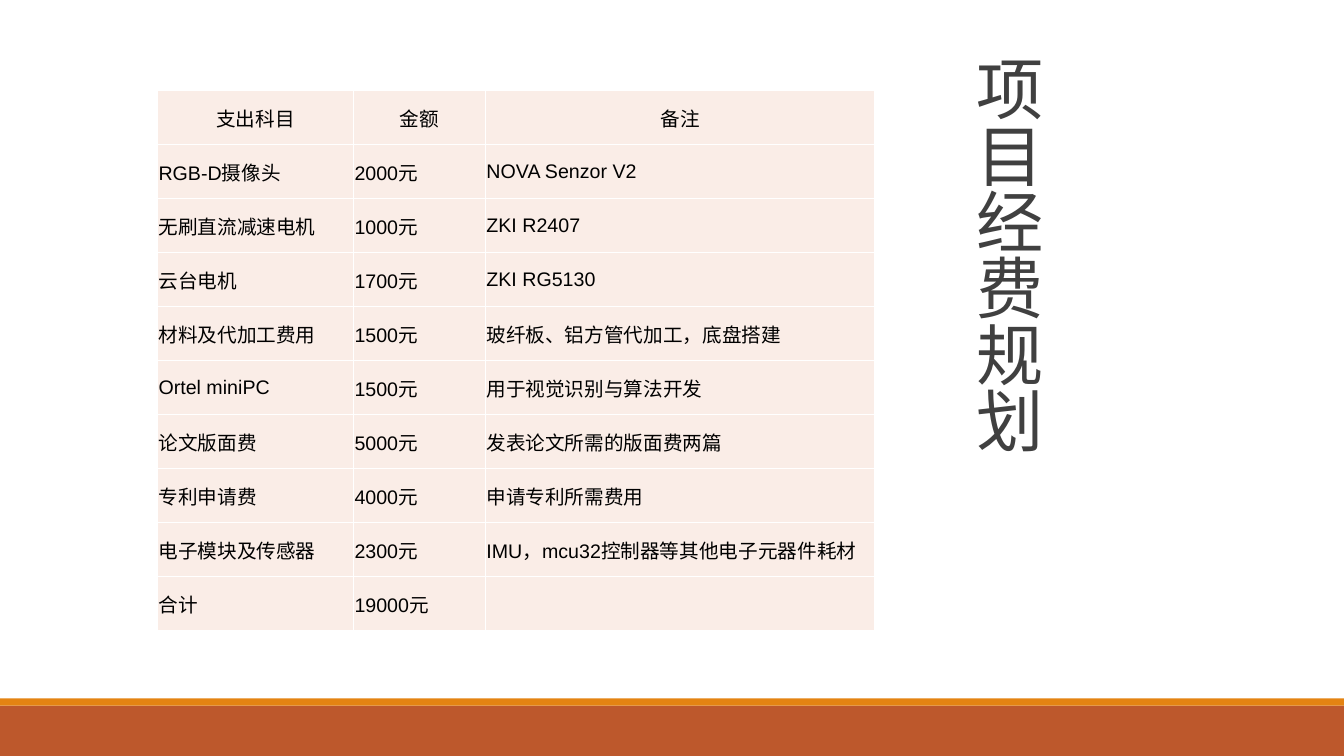
from lxml import etree
from pptx import Presentation, util as u
from pptx.dml.color import RGBColor
from pptx.enum import shapes, text
from pptx.oxml import ns

Pt = u.Pt
WIDTH, HEIGHT = 960, 540

BUDGET = [
    ("支出科目", "金额", "备注"),
    ("RGB-D摄像头", "2000元", "NOVA Senzor V2"),
    ("无刷直流减速电机", "1000元", "ZKI R2407"),
    ("云台电机", "1700元", "ZKI RG5130"),
    ("材料及代加工费用", "1500元", "玻纤板、铝方管代加工，底盘搭建"),
    ("Ortel miniPC", "1500元", "用于视觉识别与算法开发"),
    ("论文版面费", "5000元", "发表论文所需的版面费两篇"),
    ("专利申请费", "4000元", "申请专利所需费用"),
    ("电子模块及传感器", "2300元", "IMU，mcu32控制器等其他电子元器件耗材"),
    ("合计", "19000元", ""),
]


def color(value):
    return RGBColor.from_string(value)


class SlideBuilder:
    """Holds the style and the current slide."""

    font = "Arial"
    ink, title_ink = "000000", "404040"
    cell_fill, grid = "FAEDE7", "FFFFFF"

    def __init__(self, slide):
        self.slide = slide

    def add_run(self, paragraph, content, size, ink):
        run = paragraph.add_run()
        run.text = content
        run.font.name = self.font
        run.font.size = Pt(size)
        run.font.color.rgb = color(ink)
        return run

    def band(self, top, height, fill):
        shape = self.slide.shapes.add_shape(
            shapes.MSO_SHAPE.RECTANGLE, 0, Pt(top), Pt(WIDTH), Pt(height))
        shape.shadow.inherit = False
        shape.fill.solid()
        shape.fill.fore_color.rgb = color(fill)
        shape.line.fill.background()

    def vertical_title(self, content, left, top, width, height):
        shape = self.slide.shapes.add_textbox(
            Pt(left), Pt(top), Pt(width), Pt(height))
        frame = shape.text_frame
        frame.word_wrap = True
        frame.vertical_anchor = text.MSO_ANCHOR.BOTTOM
        # East Asian vertical text
        frame._txBody.bodyPr.set("vert", "eaVert")
        paragraph = frame.paragraphs[0]
        paragraph.alignment = text.PP_ALIGN.LEFT
        paragraph.line_spacing = 0.85
        run = self.add_run(paragraph, content, 48, self.title_ink)
        run.font._element.set("spc", "-50")

    def borders(self, cell):
        properties = cell._tc.get_or_add_tcPr()
        for position, side in enumerate(("lnL", "lnR", "lnT", "lnB")):
            line = etree.Element(ns.qn("a:" + side), w=str(Pt(1)))
            fill = etree.SubElement(line, ns.qn("a:solidFill"))
            etree.SubElement(fill, ns.qn("a:srgbClr"), val=self.grid)
            properties.insert(position, line)

    def cell(self, cell, content, alignment):
        cell.fill.solid()
        cell.fill.fore_color.rgb = color(self.cell_fill)
        cell.vertical_anchor = text.MSO_ANCHOR.MIDDLE
        cell.margin_left = cell.margin_right = cell.margin_top = Pt(0.75)
        cell.margin_bottom = 0
        self.borders(cell)
        if content:
            paragraph = cell.text_frame.paragraphs[0]
            paragraph.alignment = alignment
            self.add_run(paragraph, content, 14, self.ink)

    def table(self, rows, left, top, widths, row_height):
        table = self.slide.shapes.add_table(
            len(rows), len(widths), Pt(left), Pt(top),
            Pt(sum(widths)), Pt(row_height * len(rows))).table
        table.first_row = table.horz_banding = False
        for column, width in zip(table.columns, widths):
            column.width = Pt(width)
        for index, values in enumerate(rows):
            table.rows[index].height = Pt(row_height)
            alignment = text.PP_ALIGN.LEFT if index else text.PP_ALIGN.CENTER
            for column, content in enumerate(values):
                self.cell(table.cell(index, column), content, alignment)


def main():
    presentation = Presentation()
    presentation.slide_width, presentation.slide_height = Pt(WIDTH), Pt(HEIGHT)
    builder = SlideBuilder(
        presentation.slides.add_slide(presentation.slide_layouts[6]))

    # Footer bands
    builder.band(504, 36, "BD582C")
    builder.band(498.75, 5.25, "E48312")

    # Title
    builder.vertical_title("项目经费规划", 687, 32.5, 207, 453.5)

    # Budget table
    builder.table(BUDGET, 112.5, 64.5, (140, 94.25, 278.25), 38.6)

    presentation.save("out.pptx")


if __name__ == "__main__":
    main()
